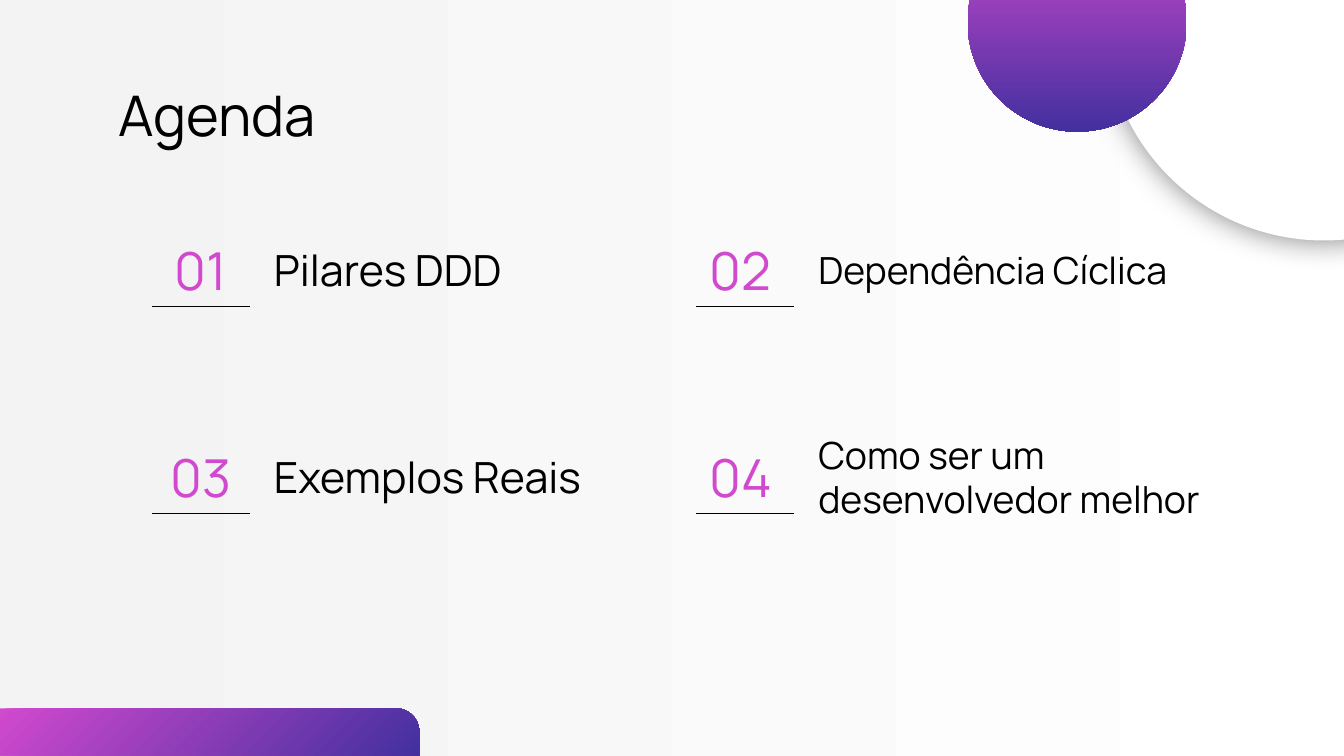
from dataclasses import dataclass

from lxml.etree import SubElement
from pptx import Presentation
from pptx.dml.color import RGBColor
from pptx.enum.shapes import MSO_CONNECTOR, MSO_SHAPE
from pptx.enum.text import MSO_ANCHOR, MSO_AUTO_SIZE, PP_ALIGN
from pptx.oxml.ns import qn
from pptx.util import Inches, Pt


@dataclass(frozen=True)
class Theme:
    font: str = "Manrope"
    ink: str = "000000"
    pink: str = "D149CE"
    indigo: str = "43309F"
    white: str = "FFFFFF"
    grey: str = "F3F3F3"
    title_size: float = 30
    number_size: float = 28
    label_size: float = 23
    long_label_size: float = 20
    rule_width: float = 0.75


@dataclass(frozen=True)
class Entry:
    label: str
    size: float
    width: float
    number_alignment: PP_ALIGN


THEME = Theme()
ENTRIES = [
    Entry("Pilares DDD", THEME.label_size, 2.89, PP_ALIGN.CENTER),
    Entry("Dependência Cíclica", THEME.long_label_size, 3.26, PP_ALIGN.LEFT),
    Entry("Exemplos Reais", THEME.label_size, 2.89, PP_ALIGN.CENTER),
    Entry("Como ser um desenvolvedor melhor", THEME.long_label_size, 3.4, PP_ALIGN.LEFT),
]


def fill_gradient(fill, start, end, angle):
    """Blend start into end; the angle is counter-clockwise, in degrees."""
    fill.gradient()
    fill.gradient_angle = angle
    for stop, color in zip(fill.gradient_stops, (start, end)):
        stop.color.rgb = RGBColor.from_string(color)


def write_text(shape, text, size, color, alignment=PP_ALIGN.LEFT):
    frame = shape.text_frame
    frame.word_wrap = True
    frame.auto_size = MSO_AUTO_SIZE.NONE
    frame.vertical_anchor = MSO_ANCHOR.MIDDLE
    frame.margin_left = frame.margin_right = Inches(0.1)
    frame.margin_top = frame.margin_bottom = Inches(0.1)
    paragraph = frame.paragraphs[0]
    paragraph.alignment = alignment
    paragraph.line_spacing = 1.0
    run = paragraph.add_run()
    run.text = text
    run.font.name = THEME.font
    run.font.size = Pt(size)
    run.font.color.rgb = RGBColor.from_string(color)


def add_plain_shape(slide, kind, left, top, width, height):
    shape = slide.shapes.add_shape(
        kind, Inches(left), Inches(top), Inches(width), Inches(height))
    shape.shadow.inherit = False
    shape.line.fill.background()
    return shape


def add_glow_shadow(shape, blur, opacity):
    """Put a centred soft shadow behind the shape; blur in points, opacity in percent."""
    effects = shape._element.spPr.find(qn("a:effectLst"))
    shadow = SubElement(effects, qn("a:outerShdw"), blurRad=str(Pt(blur)),
                        dist="0", dir="0", algn="ctr", rotWithShape="0")
    color = SubElement(shadow, qn("a:srgbClr"), val=THEME.ink)
    SubElement(color, qn("a:alpha"), val=str(opacity * 1000))


def add_corner_bar(slide, left, top, width, height):
    bar = add_plain_shape(slide, MSO_SHAPE.ROUND_1_RECTANGLE, left, top, width, height)
    bar.adjustments[0] = 0.5
    fill_gradient(bar.fill, THEME.pink, THEME.indigo, 315)


def add_title(slide, left, top, width, height):
    title = slide.shapes.title
    title.left, title.top = Inches(left), Inches(top)
    title.width, title.height = Inches(width), Inches(height)
    write_text(title, "Agenda", THEME.title_size, THEME.ink)


def add_entry(slide, number, entry, left, top):
    number_width, height, label_offset, rule_offset = 0.73, 0.39, 0.81, 0.47
    label_box = slide.shapes.add_textbox(
        Inches(left + label_offset), Inches(top), Inches(entry.width), Inches(height))
    write_text(label_box, entry.label, entry.size, THEME.ink)
    number_box = slide.shapes.add_textbox(
        Inches(left), Inches(top), Inches(number_width), Inches(height))
    write_text(number_box, f"{number:02d}", THEME.number_size, THEME.pink,
               entry.number_alignment)
    rule_top = Inches(top + rule_offset)
    rule = slide.shapes.add_connector(
        MSO_CONNECTOR.STRAIGHT, Inches(left), rule_top,
        Inches(left + number_width), rule_top)
    rule.line.color.rgb = RGBColor.from_string(THEME.ink)
    rule.line.width = Pt(THEME.rule_width)
    SubElement(rule._element.spPr, qn("a:effectLst"))


def add_agenda_grid(slide, left, top, column_step, row_step):
    for index, entry in enumerate(ENTRIES):
        row, column = divmod(index, 2)
        add_entry(slide, index + 1, entry,
                  left + column * column_step, top + row * row_step)


def add_corner_circles(slide, left, top, diameter):
    """Place a large white circle with a half-size gradient circle over its left edge."""
    large = add_plain_shape(slide, MSO_SHAPE.OVAL, left, top, diameter, diameter)
    large.fill.solid()
    large.fill.fore_color.rgb = RGBColor.from_string(THEME.white)
    add_glow_shadow(large, 16.9, 50)
    small = add_plain_shape(slide, MSO_SHAPE.OVAL, left - 1.02, top + 0.82,
                            diameter / 2, diameter / 2)
    fill_gradient(small.fill, THEME.pink, THEME.indigo, 270)


def main():
    presentation = Presentation()
    presentation.slide_width = Inches(10)
    presentation.slide_height = presentation.slide_width * 9 // 16
    title_only_layout = presentation.slide_layouts[5]
    slide = presentation.slides.add_slide(title_only_layout)
    fill_gradient(slide.background.fill, THEME.white, THEME.grey, 180)
    add_corner_bar(slide, 0, 5.27, 3.12, 0.35)
    add_title(slide, 0.78, 0.59, 8.44, 0.52)
    add_agenda_grid(slide, 1.13, 1.81, 4.05, 1.54)
    add_corner_circles(slide, 8.22, -1.47, 3.26)
    presentation.save("out.pptx")


if __name__ == "__main__":
    main()
